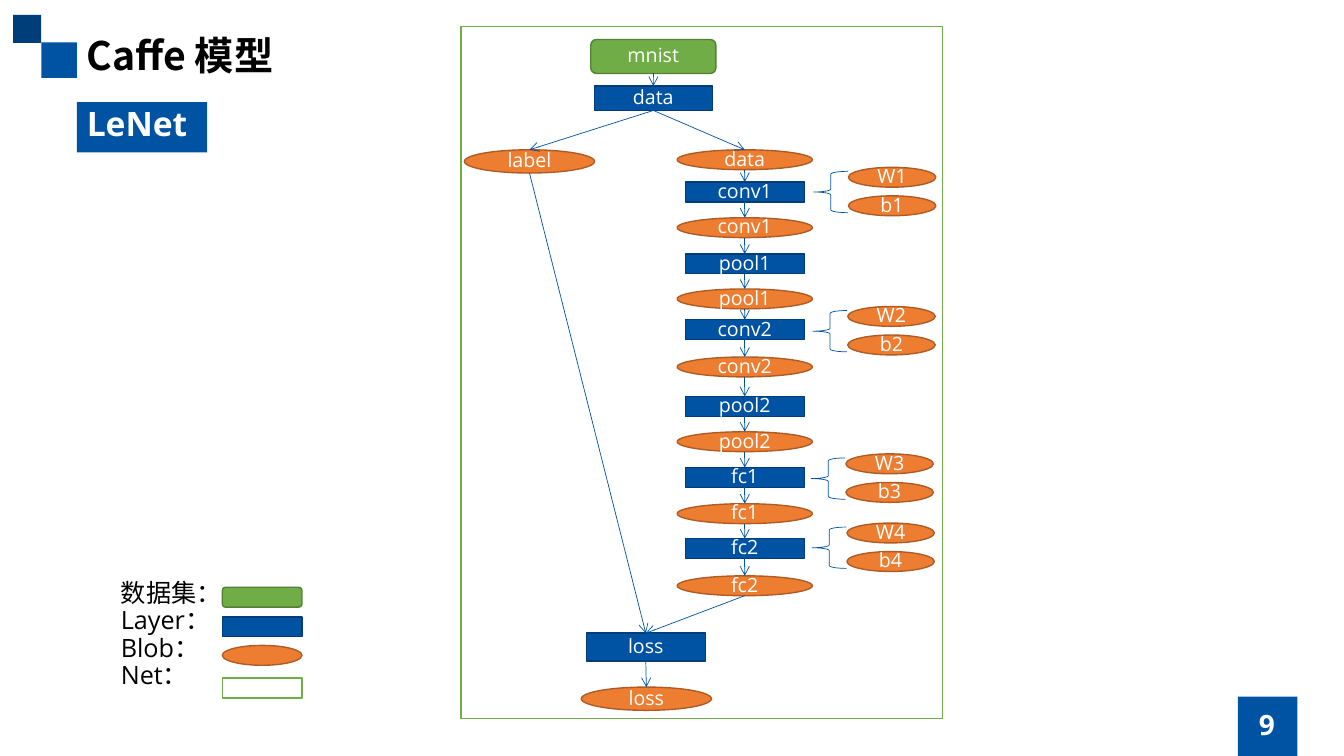
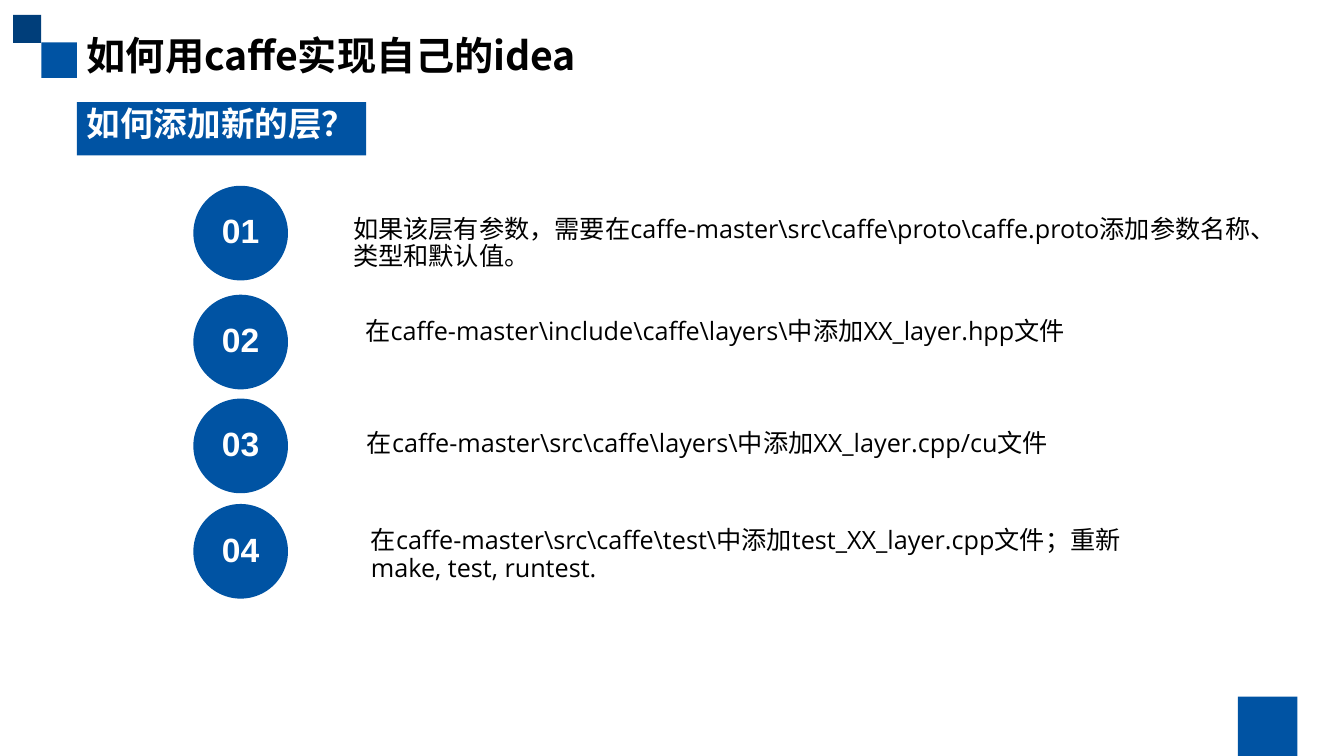
"""Builds two slides: the LeNet graph and the steps for a new layer."""
import pptx
import pptx.util
import pptx.dml.color
import pptx.enum.shapes
import pptx.enum.text
import pptx.oxml.ns
import lxml.etree

Pt = pptx.util.Pt
qn = pptx.oxml.ns.qn
RGB = pptx.dml.color.RGBColor.from_string
KIND = pptx.enum.shapes.MSO_SHAPE
ALIGN = pptx.enum.text.PP_ALIGN
ANCHOR = pptx.enum.text.MSO_ANCHOR

HUES = {"blue": "0053A3", "navy": "003E7A", "rim": "003D79",
        "green": "70AD47", "moss": "538035", "orange": "ED7D31",
        "rust": "AF5C24", "white": "FFFFFF", "black": "000000"}
STYLES = {"set": (KIND.ROUNDED_RECTANGLE, "green", "moss"),
          "layer": (KIND.RECTANGLE, "blue", "rim"),
          "blob": (KIND.OVAL, "orange", "rust"),
          "net": (KIND.RECTANGLE, "white", "green"),
          "brace": (KIND.LEFT_BRACE, None, "blue"),
          "band": (KIND.RECTANGLE, "blue", None),
          "dark": (KIND.RECTANGLE, "navy", None),
          "disc": (KIND.OVAL, "blue", None)}


def put(page, style, x, y, w, h):
    """Adds a shape in a named style, or a text box for the style "text"."""
    area = [Pt(v) for v in (x, y, w, h)]
    if style == "text":
        return page.shapes.add_textbox(*area)
    kind, fill, edge = STYLES[style]
    shape = page.shapes.add_shape(kind, *area)
    shape.shadow.inherit = False
    if fill:
        shape.fill.solid()
        shape.fill.fore_color.rgb = RGB(HUES[fill])
    else:
        shape.fill.background()
    if edge:
        shape.line.color.rgb = RGB(HUES[edge])
        shape.line.width = Pt(1 if fill else 0.5)
    else:
        shape.line.fill.background()
    return shape


def write(shape, text, size, hue="white", font="Open Sans", bold=False,
          mid=True, wrap=True):
    """Sets the text of a shape, centred both ways or from the top left."""
    frame = shape.text_frame
    frame.text = text
    frame.word_wrap = wrap
    frame.vertical_anchor = ANCHOR.MIDDLE if mid else ANCHOR.TOP
    for para in frame.paragraphs:
        para.alignment = ALIGN.CENTER if mid else ALIGN.LEFT
        para.line_spacing = 0.9
        for run in para.runs:
            run.font.size = Pt(size)
            run.font.bold = bold
            run.font.color.rgb = RGB(HUES[hue])
            run.font.name = font
            east = lxml.etree.SubElement(run.font._element, qn("a:ea"))
            east.set("typeface", "Noto Sans CJK SC")
    return shape


deck = pptx.Presentation()
deck.slide_width, deck.slide_height = Pt(960), Pt(540)
pages = []
for title, head, wide, high in (("Caffe 模型", "LeNet", 93, 36),
                                ("如何用caffe实现自己的idea", "如何添加新的层？", 206.6, 38.2)):
    page = deck.slides.add_slide(deck.slide_layouts[6])
    put(page, "band", 29.5, 30.3, 25.4, 25.4)
    put(page, "dark", 9.4, 10.6, 20, 20)
    put(page, "band", 884.2, 497.5, 42.5, 42.5)
    write(put(page, "text", 54.9, 22.3, 850, 43.2), title, 28, "black",
          "Noto Sans CJK SC", True, False)
    write(put(page, "band", 54.9, 72.9, wide, high), head, 24,
          bold=True, mid=False, wrap=False)
    pages.append(page)
graph, steps = pages

write(put(graph, "text", 850.3, 504.7, 109.4, 28.8), "9", 20, bold=True)
put(graph, "net", 329.2, 18.8, 344, 494.6)

nodes = {}
for key, style, text, x, y, w, h in (
        ("set", "set", "mnist", 422, 28.2, 89.4, 24.3),
        ("data", "layer", "data", 424.6, 61.4, 84.2, 17.5),
        ("label", "blob", "label", 331.7, 107, 93, 16.6),
        ("loss", "layer", "loss", 418.8, 452.3, 85, 20),
        ("out", "blob", "loss", 415.2, 490.8, 93, 16.6)):
    nodes[key] = write(put(graph, style, x, y, w, h), text, 14)

chain = []
for style, text, y in (
        ("blob", "data", 107), ("layer", "conv1", 130), ("blob", "conv1", 155.5),
        ("layer", "pool1", 181.4), ("blob", "pool1", 206.4),
        ("layer", "conv2", 228.4), ("blob", "conv2", 255),
        ("layer", "pool2", 283.2), ("blob", "pool2", 308.4),
        ("layer", "fc1", 334), ("blob", "fc1", 359.8),
        ("layer", "fc2", 384.7), ("blob", "fc2", 411.3)):
    w = 85 if style == "layer" else 96.6
    chain.append(write(put(graph, style, 532 - w / 2, y, w, 14.2), text, 14))

for i, (x, y) in enumerate(((606, 119.5), (605.5, 218.9),
                            (604.2, 324.2), (604.9, 373.6)), 1):
    for j, name in enumerate("Wb"):
        blob = put(graph, "blob", x, y + 20.4 * j, 62.5, 14.2)
        write(blob, f"{name}{i}", 14)
    put(graph, "brace", x - 24.8, y + 2.9, 24.5, 29.5)

links = [(nodes["set"], nodes["data"]), (nodes["data"], nodes["label"]),
         (nodes["data"], chain[0]), *zip(chain, chain[1:]),
         (nodes["label"], nodes["loss"]), (chain[-1], nodes["loss"]),
         (nodes["loss"], nodes["out"])]
for top, low in links:
    link = graph.shapes.add_connector(
        pptx.enum.shapes.MSO_CONNECTOR.STRAIGHT,
        top.left + top.width // 2, top.top + top.height,
        low.left + low.width // 2, low.top)
    link.line.color.rgb = RGB(HUES["blue"])
    link.line.width = Pt(0.5)
    tip = lxml.etree.SubElement(link.get_or_add_ln(), qn("a:tailEnd"))
    tip.set("type", "arrow")
    lxml.etree.SubElement(link._element.spPr, qn("a:effectLst"))

write(put(graph, "text", 79.2, 411.3, 149.8, 95), "数据集：\nLayer：\nBlob：\nNet：",
      18, "black", mid=False)
for style, y in (("set", 419.5), ("layer", 440.6), ("blob", 461), ("net", 484.3)):
    put(graph, style, 158.8, y, 56.9, 14.2)

for i, (y, x, top, w, h, text) in enumerate((
        (132.7, 245.2, 151.4, 668.2, 51.8,
         "如果该层有参数，需要在caffe-master\\src\\caffe\\proto\\caffe.proto添加参数名称、类型和默认值。"),
        (210.5, 254, 224.2, 613.4, 30.2,
         "在caffe-master\\include\\caffe\\layers\\中添加XX_layer.hpp文件"),
        (284.7, 255, 304.4, 600.5, 30.2,
         "在caffe-master\\src\\caffe\\layers\\中添加XX_layer.cpp/cu文件"),
        (360, 257.9, 373.7, 559.4, 51.8,
         "在caffe-master\\src\\caffe\\test\\中添加test_XX_layer.cpp文件；"
         "重新make, test, runtest.")), 1):
    write(put(steps, "disc", 138.1, y, 67.6, 67.6), f"{i:02}", 24,
          font="Arial", bold=True)
    write(put(steps, "text", x, top, w, h), text, 18, "black", mid=False)

deck.save("out.pptx")
